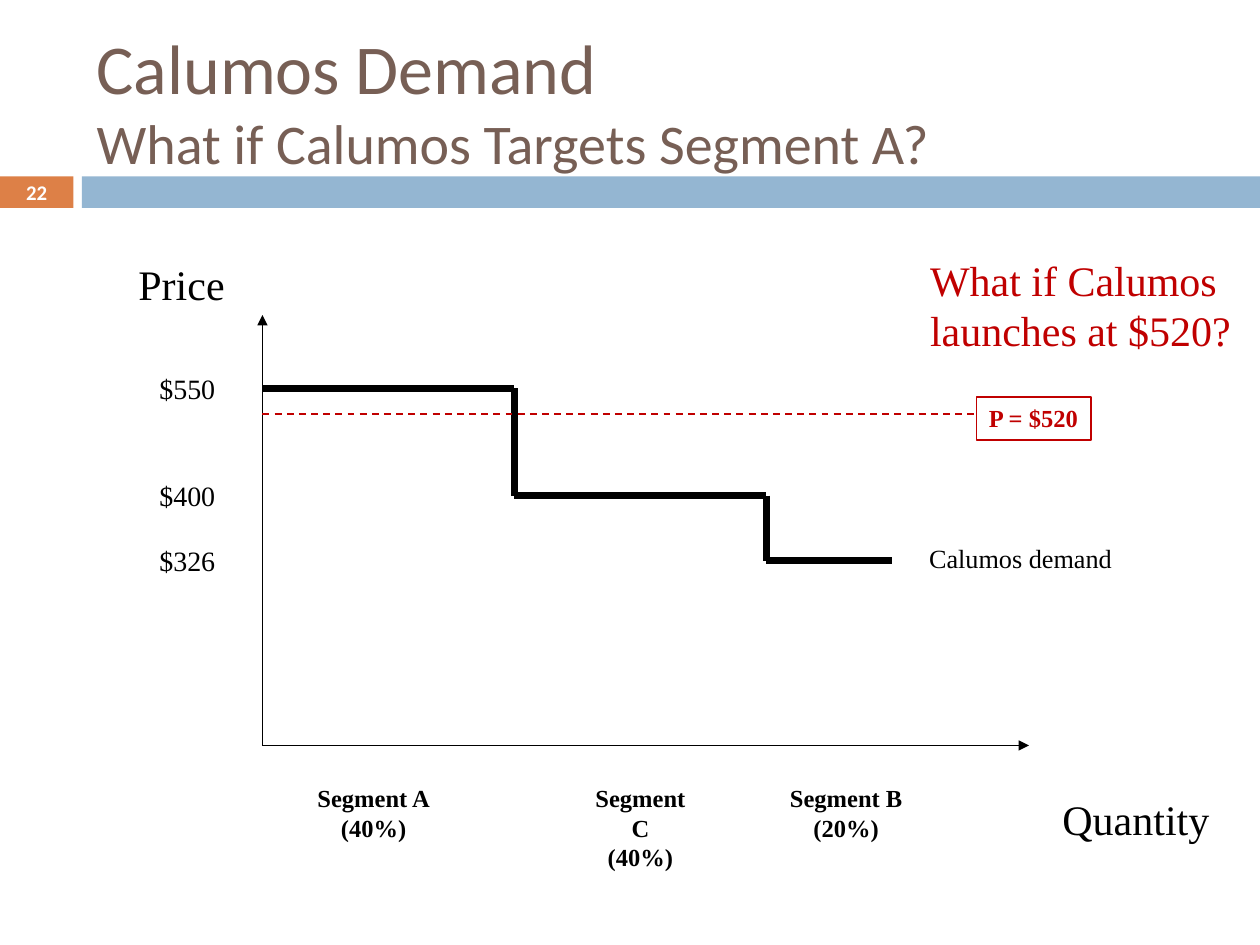
from itertools import pairwise

from lxml import etree
from pptx import Presentation
from pptx import util as u
from pptx.dml.color import RGBColor
from pptx.enum import dml, shapes, text
from pptx.oxml.ns import qn

COLORS = {
    "ink": "000000", "alert": "C00000", "heading": "775F55",
    "orange": "DD8047", "blue": "94B6D2", "white": "FFFFFF",
}
SERIF, SANS = "Times New Roman", "Calibri"

# Grid of 120 columns by 90 rows over the slide
WIDTH, HEIGHT = u.Inches(10), u.Inches(7.5)
COLUMNS, ROWS = 120, 90

# Plot: the quantity axis starts at ORIGIN, all demand spans 60 columns
ORIGIN, BASELINE = 25, 71
DEMAND_SPAN = 60
PRICE_ROWS = {"$550": 37, "$520": 39.4, "$400": 47.2, "$326": 53.4}
# Segment: share of demand, price, left column of its label
SEGMENTS = {
    "Segment A": (40, "$550", 29),
    "Segment C": (40, "$400", 54.4),
    "Segment B": (20, "$326", 74),
}


def color(name):
    return RGBColor.from_string(COLORS[name])


def x(columns):
    return round(WIDTH * columns / COLUMNS)


def y(rows):
    return round(HEIGHT * rows / ROWS)


def box(left, top, width, height):
    return x(left), y(top), x(width), y(height)


def style(font, size, ink, face=SERIF, bold=False):
    font.size, font.name, font.bold = u.Pt(size), face, bold
    font.color.rgb = color(ink)


def add_label(slide, area, lines, size, ink="ink", face=SERIF, bold=False,
              align=text.PP_ALIGN.LEFT, anchor=text.MSO_ANCHOR.TOP, wrap=False):
    label = slide.shapes.add_textbox(*box(*area))
    frame = label.text_frame
    frame.word_wrap, frame.vertical_anchor = wrap, anchor
    frame.text = "\n".join(lines)
    for paragraph in frame.paragraphs:
        paragraph.alignment = align
        style(paragraph.font, size, ink, face, bold)
    return label


def add_line(slide, start, end, weight=1, ink="ink", arrow=False, dashed=False):
    line = slide.shapes.add_connector(
        shapes.MSO_CONNECTOR.STRAIGHT, x(start[0]), y(start[1]), x(end[0]), y(end[1]))
    line.line.width = u.Pt(weight)
    line.line.color.rgb = color(ink)
    if dashed:
        line.line.dash_style = dml.MSO_LINE.DASH
    if arrow:
        etree.SubElement(line.line._get_or_add_ln(), qn("a:tailEnd"), type="triangle")
    etree.SubElement(line._element.spPr, qn("a:effectLst"))


def add_band(slide, area, fill):
    band = slide.shapes.add_shape(shapes.MSO_SHAPE.RECTANGLE, *box(*area))
    band.shadow.inherit = False
    band.fill.solid()
    band.fill.fore_color.rgb = color(fill)
    band.line.fill.background()


def add_header(slide):
    add_band(slide, (0, 16.8, 7, 3), "orange")
    add_band(slide, (7.8, 16.8, 112.2, 3), "blue")
    add_label(slide, (0, 16.7, 7, 3.2), ["22"], 11.9, "white", SANS, True,
              text.PP_ALIGN.CENTER, text.MSO_ANCHOR.MIDDLE, wrap=True)

    title = slide.shapes.title
    title.left, title.top, title.width, title.height = box(8, 3, 107, 13)
    frame = title.text_frame
    frame.auto_size = text.MSO_AUTO_SIZE.NONE
    frame.vertical_anchor = text.MSO_ANCHOR.MIDDLE
    heading = frame.paragraphs[0]
    heading.alignment = text.PP_ALIGN.LEFT
    for words, size in (("Calumos Demand", 40),
                        ("What if Calumos Targets Segment A?", 32)):
        if heading.runs:
            heading.add_line_break()
        run = heading.add_run()
        run.text = words
        style(run.font, size, "heading", SANS)


def add_axes(slide):
    corner = (ORIGIN, BASELINE)
    add_line(slide, corner, (98, BASELINE), arrow=True)
    add_line(slide, corner, (ORIGIN, 30), arrow=True)
    add_label(slide, (12, 24, 10.7, 6), ["Price"], 24)
    add_label(slide, (100, 75, 16.6, 6), ["Quantity"], 24)


def add_demand(slide):
    # Corners of the falling staircase
    corners, column = [], ORIGIN
    for name, (share, price, label_column) in SEGMENTS.items():
        row = PRICE_ROWS[price]
        corners.append((column, row))
        column += DEMAND_SPAN * share / 100
        corners.append((column, row))
        add_label(slide, (14, row - 2.2, 9, 4.4), [price], 16, wrap=True)
        add_label(slide, (label_column, 74, 13.2, 6.8), [name, f"({share}%)"], 14,
                  bold=True, align=text.PP_ALIGN.CENTER)
    for start, end in pairwise(corners):
        add_line(slide, start, end, weight=4.25)
    add_label(slide, (87.3, 51.1, 20.3, 4.2), ["Calumos demand"], 15)


def add_launch_price(slide):
    row = PRICE_ROWS["$520"]
    add_line(slide, (ORIGIN, row), (93, row), ink="alert", dashed=True)
    tag = add_label(slide, (93, 37.8, 10.9, 4.1), ["P = $520"], 14, "alert", bold=True)
    tag.line.width = u.Pt(1)
    tag.line.color.rgb = color("alert")
    add_label(slide, (87.4, 23.6, 31.4, 10.9),
              ["What if Calumos", "launches at $520?"], 24, "alert")


def main():
    deck = Presentation()
    deck.slide_width, deck.slide_height = WIDTH, HEIGHT
    slide = deck.slides.add_slide(deck.slide_layouts[5])
    add_header(slide)
    add_axes(slide)
    add_demand(slide)
    add_launch_price(slide)
    deck.save("out.pptx")


if __name__ == "__main__":
    main()
